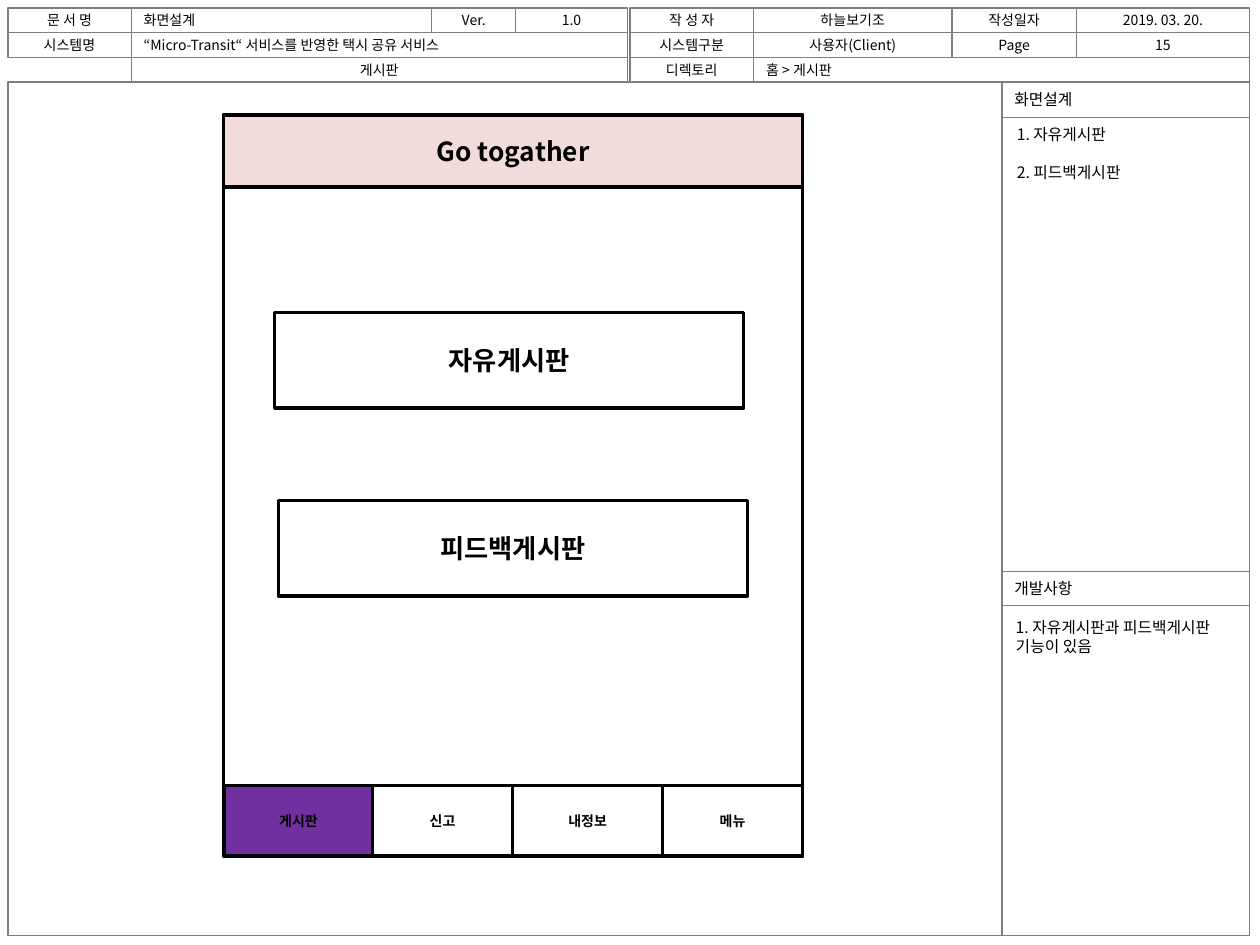
from dataclasses import dataclass
from itertools import pairwise

from lxml import etree
from pptx import Presentation
from pptx.dml.color import RGBColor
from pptx.enum.shapes import MSO_SHAPE
from pptx.enum.text import MSO_ANCHOR, MSO_AUTO_SIZE, PP_ALIGN
from pptx.oxml.ns import qn
from pptx.util import Pt

RECT = MSO_SHAPE.RECTANGLE
LEFT, CENTER = PP_ALIGN.LEFT, PP_ALIGN.CENTER
TOP, MIDDLE = MSO_ANCHOR.TOP, MSO_ANCHOR.MIDDLE
NO_FIT = MSO_AUTO_SIZE.NONE

FONT = "Noto Sans CJK KR"
GRAY, BLACK, WHITE = "7F7F7F", "000000", "FFFFFF"
PINK, PURPLE = "F2DCDB", "7030A0"

# Header grid: two halves with a narrow gap, three rows
X0, X1, X2, X3, X4 = 4.5, 75, 246.7, 294.7, 358.5
X5, X6, X7, X8, X9 = 360, 430.7, 544, 615, 714.2
HEAD_TOP, ROW_H = 4.5, 14.1
FRAME_TOP, FRAME_BOTTOM = HEAD_TOP + 3 * ROW_H, 534.5
SIDE_X = 572.5

PHONE_X, PHONE_Y, PHONE_W, PHONE_H = 127.7, 65.8, 331, 423.3
TAB_H = 40.3


@dataclass
class Cell:
    row: int
    left: float
    right: float
    text: str
    align: PP_ALIGN = CENTER


HEADER = [
    Cell(0, X0, X1, "문 서 명"),
    Cell(0, X1, X2, "화면설계", LEFT),
    Cell(0, X2, X3, "Ver."),
    Cell(0, X3, X4, "1.0"),
    Cell(0, X5, X6, "작 성 자"),
    Cell(0, X6, X7, "하늘보기조"),
    Cell(0, X7, X8, "작성일자"),
    Cell(0, X8, X9, "2019. 03. 20."),
    Cell(1, X0, X1, "시스템명"),
    Cell(1, X1, X4, "“Micro-Transit“ 서비스를 반영한 택시 공유 서비스", LEFT),
    Cell(1, X5, X6, "시스템구분"),
    Cell(1, X6, X7, "사용자(Client)"),
    Cell(1, X7, X8, "Page"),
    Cell(1, X8, X9, "15"),
    Cell(2, X5, X6, "디렉토리"),
    Cell(2, X6, X9, "홈 > 게시판", LEFT),
]


def rgb(value: str) -> RGBColor:
    return RGBColor.from_string(value)


def place(sp, x: float, y: float, w: float, h: float) -> None:
    sp.left, sp.top, sp.width, sp.height = Pt(x), Pt(y), Pt(w), Pt(h)


def outline(sp, line: str = GRAY, width: float = 0.75, fill: str | None = None) -> None:
    """Set the border, and the fill if there is one."""
    sp.line.color.rgb = rgb(line)
    sp.line.width = Pt(width)
    if fill:
        sp.fill.solid()
        sp.fill.fore_color.rgb = rgb(fill)
    else:
        sp.fill.background()


def rect(s, x: float, y: float, w: float, h: float, **style):
    sp = s.shapes.add_shape(RECT, Pt(x), Pt(y), Pt(w), Pt(h))
    sp.shadow.inherit = False
    outline(sp, **style)
    return sp


def write(sp, *lines: str, size: float = 8, bold: bool = False,
          align: PP_ALIGN = CENTER, anchor: MSO_ANCHOR = MIDDLE,
          left: float = 7.2, top: float = 3.6,
          leading: float | None = None, gap: float = 0) -> None:
    """Fill the shape with one paragraph a line, gap points apart."""
    tf = sp.text_frame
    tf.word_wrap = True
    tf.auto_size = NO_FIT
    tf.vertical_anchor = anchor
    tf.margin_left, tf.margin_right = Pt(left), Pt(7.2)
    tf.margin_top = tf.margin_bottom = Pt(top)
    for i, text in enumerate(lines):
        p = tf.add_paragraph() if i else tf.paragraphs[0]
        if sp.is_placeholder:
            pPr = p._p.get_or_add_pPr()
            pPr.set("marL", "0")
            pPr.set("indent", "0")
            etree.SubElement(pPr, qn("a:buNone"))
        p.alignment = align
        p.space_before = Pt(gap if i else 0)
        if leading:
            p.line_spacing = Pt(leading)
        r = p.add_run()
        r.text = text
        r.font.size, r.font.bold, r.font.name = Pt(size), bold, FONT
        r.font.color.rgb = rgb(BLACK)
        etree.SubElement(r._r.get_or_add_rPr(), qn("a:ea"), typeface=FONT)


def draw_header(s) -> None:
    for c in HEADER:
        sp = rect(s, c.left, HEAD_TOP + c.row * ROW_H, c.right - c.left, ROW_H)
        write(sp, c.text, align=c.align)
    title = s.shapes.title
    place(title, X1, HEAD_TOP + 2 * ROW_H, X4 - X1, ROW_H)
    outline(title)
    write(title, "게시판")


def draw_side(s) -> None:
    """Two headed panels: the screen's parts and the development notes."""
    w = X9 - SIDE_X
    list_top, dev_top, note_top = 67, 326.5, 346.2
    for text, y, bottom in (("화면설계", FRAME_TOP, list_top),
                            ("개발사항", dev_top, note_top)):
        write(rect(s, SIDE_X, y, w, bottom - y), text, size=9, align=LEFT)

    body = s.placeholders[1]
    place(body, SIDE_X, list_top, w, dev_top - list_top)
    outline(body)
    write(body, "1. 자유게시판", "2. 피드백게시판", size=9, align=LEFT,
          anchor=TOP, left=8.5, top=4.3, leading=10.9, gap=10.9)

    notes = rect(s, SIDE_X, note_top, w, FRAME_BOTTOM - note_top)
    write(notes, "1. 자유게시판과 피드백게시판 기능이 있음", size=9, align=LEFT,
          anchor=TOP, left=7.9, top=6.5, leading=10.9)


def draw_phone(s) -> None:
    thick = {"line": BLACK, "width": 2}
    rect(s, PHONE_X, PHONE_Y, PHONE_W, PHONE_H, fill=WHITE, **thick)
    bar = rect(s, PHONE_X, PHONE_Y, PHONE_W, 41, fill=PINK, **thick)
    write(bar, "Go togather", size=15, bold=True)

    for text, x, y in (("자유게시판", 157, 178.5), ("피드백게시판", 159.2, 286)):
        button = rect(s, x, y, 268, 54.7, fill=WHITE, **thick)
        write(button, text, size=15, bold=True)

    edges = (128.3, 213, 293, 378.7, PHONE_X + PHONE_W)
    tabs = ("게시판", "신고", "내정보", "메뉴")
    for text, (x, right) in zip(tabs, pairwise(edges)):
        fill = PURPLE if text == "게시판" else WHITE
        tab = rect(s, x, PHONE_Y + PHONE_H - TAB_H, right - x, TAB_H,
                   fill=fill, **thick)
        write(tab, text, bold=True)


def main() -> None:
    prs = Presentation()
    prs.slide_width, prs.slide_height = Pt(720), Pt(540)
    s = prs.slides.add_slide(prs.slide_layouts[1])
    rect(s, X0, FRAME_TOP, X9 - X0, FRAME_BOTTOM - FRAME_TOP)
    draw_header(s)
    draw_side(s)
    draw_phone(s)
    prs.save("out.pptx")


if __name__ == "__main__":
    main()
